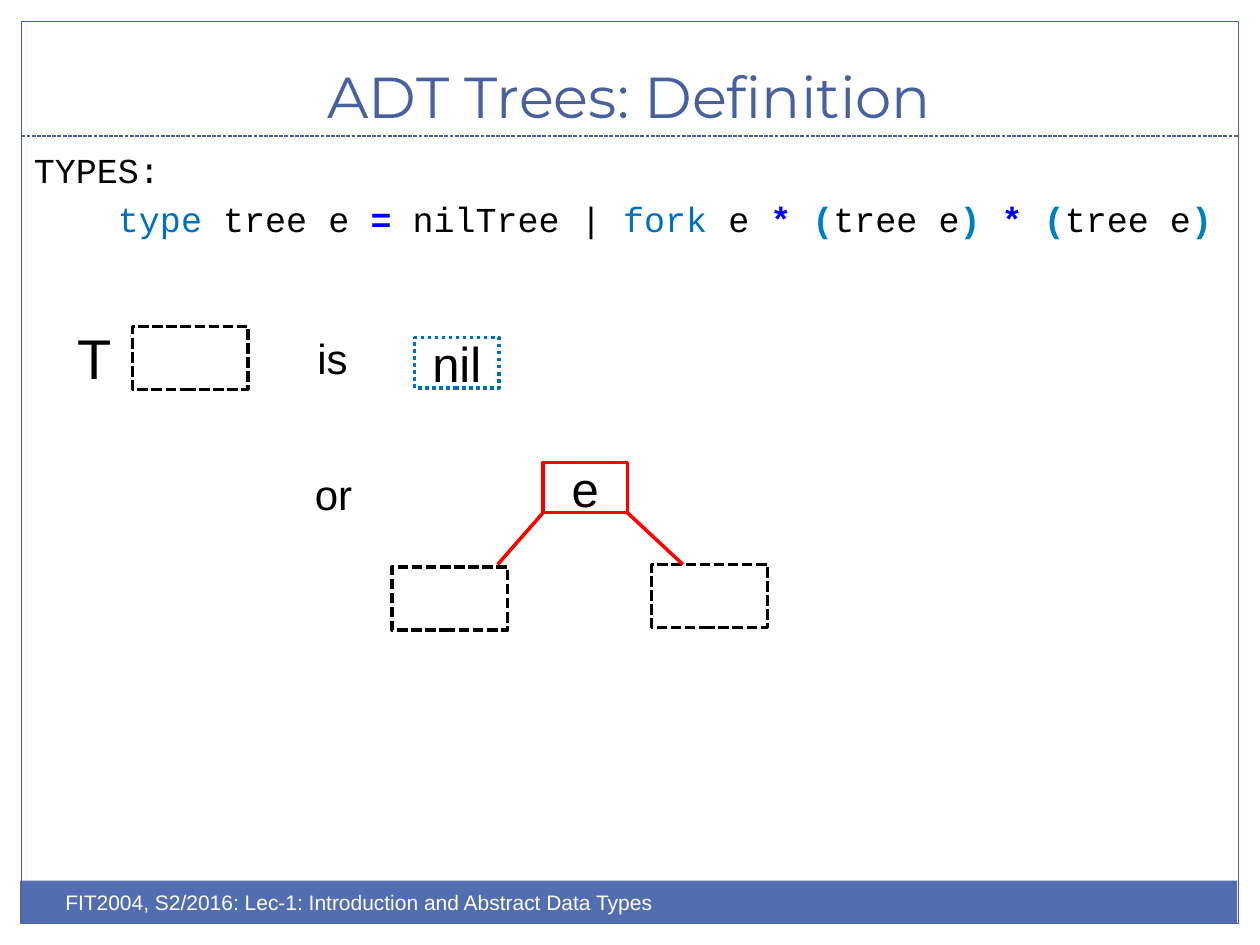
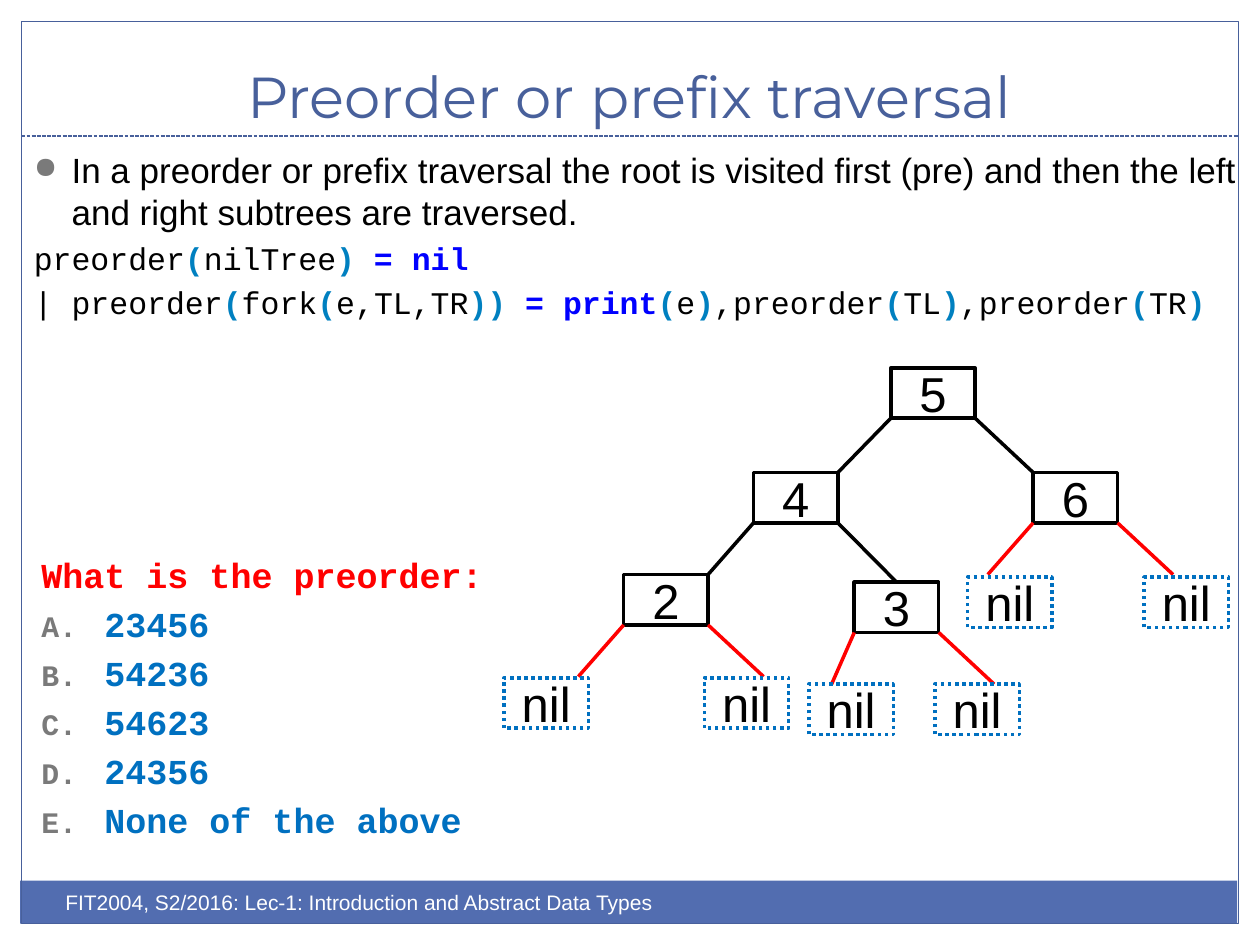
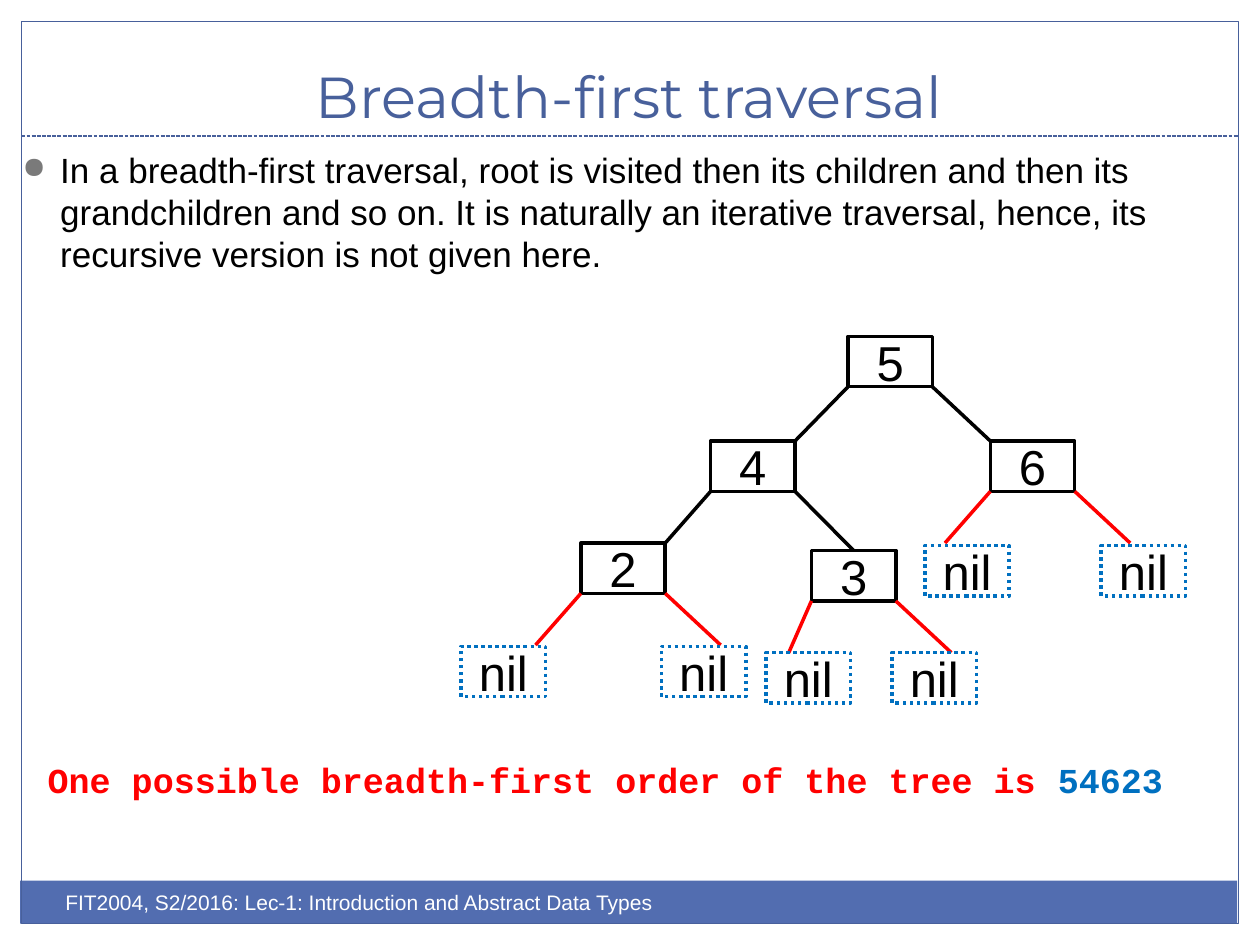
from lxml import etree
from pptx import Presentation
from pptx.dml.color import RGBColor
from pptx.enum.dml import MSO_LINE
from pptx.enum.shapes import MSO_CONNECTOR, MSO_SHAPE
from pptx.enum.text import MSO_ANCHOR, PP_ALIGN
from pptx.oxml.ns import qn
from pptx.util import Inches, Pt

BLACK, WHITE, RED, BLUE = "000000", "FFFFFF", "FF0000", "0070C0"
FRAME, BAND, GRAY = "48609B", "526DB0", "7A7A7A"
KEYWORD, PAREN = ("0000FF", True), ("0080C0", True)
TOKENS = {"type": (BLUE, False), "fork ": (BLUE, False),
          "=": KEYWORD, "*": KEYWORD, "nil": KEYWORD, "print": KEYWORD,
          "(": PAREN, ")": PAREN, "))": PAREN}
SANS, MONO, DISPLAY = "Arial", "Courier New", "Montserrat"
NODE_W, NODE_H = 0.67, 0.4
SUB_W, SUB_H = 0.92, 0.5
FOOTER = "FIT2004, S2/2016: Lec-1: Introduction and Abstract Data Types"


def rgb(value):
    return RGBColor.from_string(value)


def code(line):
    return [(t, *TOKENS.get(t, (BLACK, False))) for t in line.split("~")]


class Deck:
    def __init__(self):
        self.prs = Presentation()
        self.prs.slide_width, self.prs.slide_height = Inches(10), Inches(7.5)
        self.s = None

    def slide(self, title):
        self.s = self.prs.slides.add_slide(self.prs.slide_layouts[6])
        self.rect(0.16, 6.99, 9.66, 0.34, fill=BAND)
        self.rect(0.17, 0.17, 9.66, 7.16, line=FRAME, weight=0.75)
        self.line((0.17, 1.08), (9.83, 1.08), FRAME, 0.75, MSO_LINE.SQUARE_DOT)
        tf = self.box(0.33, 0.25, 9.33, 0.83)
        tf.vertical_anchor = MSO_ANCHOR.BOTTOM
        self.para(tf, [(title, FRAME, False)], 33, DISPLAY, align=PP_ALIGN.CENTER)
        self.label(FOOTER, 0.42, 7.01, 5, 0.4, 12, WHITE)

    def box(self, x, y, w, h):
        tf = self.s.shapes.add_textbox(*map(Inches, (x, y, w, h))).text_frame
        tf.word_wrap = True
        return tf

    def para(self, tf, runs, size=20, name=SANS, align=PP_ALIGN.LEFT, marker=None, indent=0.3):
        first = not tf.paragraphs[0].runs
        p = tf.paragraphs[0] if first else tf.add_paragraph()
        p.alignment = align
        if not first:
            p.space_before = Pt(size * 0.2)
        if marker:
            self.marker(p, marker, indent)
        for text, color, bold in runs:
            r = p.add_run()
            r.text = text
            for key, value in {"size": Pt(size), "name": name, "bold": bold}.items():
                setattr(r.font, key, value)
            r.font.color.rgb = rgb(color)

    def marker(self, p, marker, indent):
        pPr = p._p.get_or_add_pPr()
        pPr.set("marL", str(Inches(indent)))
        pPr.set("indent", str(-Inches(indent)))
        clr = etree.SubElement(pPr, qn("a:buClr"))
        etree.SubElement(clr, qn("a:srgbClr"), val=GRAY)
        etree.SubElement(pPr, qn("a:buSzPct"), val="85000")
        if marker == "A.":
            etree.SubElement(pPr, qn("a:buAutoNum"), type="alphaUcPeriod")
        else:
            etree.SubElement(pPr, qn("a:buChar"), char=marker)

    def label(self, text, x, y, w, h, size, color=BLACK):
        self.para(self.box(x, y, w, h), [(text, color, False)], size)

    def rect(self, x, y, w, h, fill=None, line=None, weight=2, dash=None, text=None):
        sp = self.s.shapes.add_shape(MSO_SHAPE.RECTANGLE, *map(Inches, (x, y, w, h)))
        sp.shadow.inherit = False
        if fill:
            sp.fill.solid()
            sp.fill.fore_color.rgb = rgb(fill)
        else:
            sp.fill.background()
        if line:
            self.stroke(sp.line, line, weight, dash)
        else:
            sp.line.fill.background()
        if text:
            sp.text_frame.vertical_anchor = MSO_ANCHOR.MIDDLE
            self.para(sp.text_frame, [(text, BLACK, False)], 28, align=PP_ALIGN.CENTER)
        return sp

    def stroke(self, ln, color, weight, dash):
        ln.color.rgb = rgb(color)
        ln.width = Pt(weight)
        if dash:
            ln.dash_style = dash

    def line(self, start, end, color, weight=2, dash=None):
        c = self.s.shapes.add_connector(MSO_CONNECTOR.STRAIGHT, *map(Inches, (*start, *end)))
        self.stroke(c.line, color, weight, dash)
        etree.SubElement(c._element.spPr, qn("a:effectLst"))
        return c

    def node(self, text, x, y, color=BLACK):
        return self.rect(x, y, NODE_W, NODE_H, line=color, text=text)

    def nil(self, x, y):
        self.rect(x, y, NODE_W, NODE_H, line=BLUE, dash=MSO_LINE.ROUND_DOT, text="nil")

    def subtree(self, x, y):
        self.rect(x, y, SUB_W, SUB_H, line=BLACK, dash=MSO_LINE.SQUARE_DOT)

    def stems(self, x, y, left=-0.36, right=0.44):
        for corner, dx in ((x, left), (x + NODE_W, right)):
            self.line((corner, y + NODE_H), (corner + dx, y + NODE_H + 0.41), RED)

    def tree(self, x, y):
        offsets = {"5": (0, 0), "4": (-1.09, 0.83), "6": (1.13, 0.83),
                   "2": (-2.12, 1.64), "3": (-0.29, 1.7)}
        at = {k: (x + dx, y + dy) for k, (dx, dy) in offsets.items()}
        nodes = {k: self.node(k, *pos) for k, pos in at.items()}
        for parent, child, goes_left in (("5", "4", 1), ("5", "6", 0), ("4", "2", 1), ("4", "3", 0)):
            (px, py), (cx, cy) = at[parent], at[child]
            start = (px + NODE_W * (1 - goes_left), py + NODE_H)
            c = self.line(start, (cx + NODE_W * goes_left, cy), BLACK)
            if child == "3":
                c.end_connect(nodes[child], 0)
        self.stems(*at["6"])
        self.stems(*at["2"])
        self.stems(*at["3"], left=-0.18)
        for parent, left, right, drop in (("6", -0.52, 0.88, 0.83), ("2", -0.95, 0.64, 0.82),
                                          ("3", -0.36, 0.64, 0.81)):
            px, py = at[parent]
            for dx in (left, right):
                self.nil(px + dx, py + drop)


def definition(d):
    d.slide("ADT Trees: Definition")
    tf = d.box(0.17, 1.13, 9.84, 1.42)
    for line in ("TYPES:",
                 "    ~type~ tree e ~=~ nilTree | ~fork ~e ~*~ ~(~tree e~)~ ~*~ ~(~tree e~)"):
        d.para(tf, code(line), name=MONO)
    d.label("T", 0.52, 2.52, 0.48, 0.64, 32)
    d.label("is", 2.42, 2.59, 0.83, 0.5, 24)
    d.label("or", 2.4, 3.67, 0.83, 0.5, 24)
    d.nil(3.29, 2.68)
    for x, y in ((1.05, 2.59), (3.11, 4.5), (5.17, 4.48)):
        d.subtree(x, y)
    d.node("e", 4.31, 3.67, RED)
    d.stems(4.31, 3.67)


def preorder(d):
    d.slide("Preorder or prefix traversal")
    tf = d.box(0.17, 1.13, 9.84, 1.42)
    d.para(tf, [("In a preorder or prefix traversal the root is visited first (pre) "
                 "and then the left and right subtrees are traversed.", BLACK, False)], marker="●")
    for line in ("preorder~(~nilTree~)~ ~=~ ~nil",
                 "| preorder~(~fork~(~e,TL,TR~))~ ~=~ ~print~(~e~)"
                 "~,preorder~(~TL~)~,preorder~(~TR~)"):
        d.para(tf, code(line), 18, MONO)
    tf = d.box(0.23, 4.34, 3.74, 2.46)
    d.para(tf, [("What is the preorder:", RED, True)], name=MONO)
    for answer in ("23456", "54236", "54623", "24356", "None of the above"):
        d.para(tf, [(answer, BLUE, True)], name=MONO, marker="A.", indent=0.5)
    d.tree(7.07, 2.92)


def breadth_first(d):
    d.slide("Breadth-first traversal")
    tf = d.box(0.08, 1.13, 10, 1.42)
    d.para(tf, [("In a breadth-first traversal, root is visited then its children and then its "
                 "grandchildren and so on. It is naturally an iterative traversal, hence, its "
                 "recursive version is not given here.", BLACK, False)], marker="●")
    tf = d.box(0.28, 5.97, 9.22, 0.44)
    d.para(tf, [("One possible breadth-first order of the tree is ", RED, True),
                ("54623", BLUE, True)], name=MONO)
    d.tree(6.73, 2.67)


def main():
    d = Deck()
    for build in (definition, preorder, breadth_first):
        build(d)
    d.prs.save("out.pptx")


if __name__ == "__main__":
    main()
